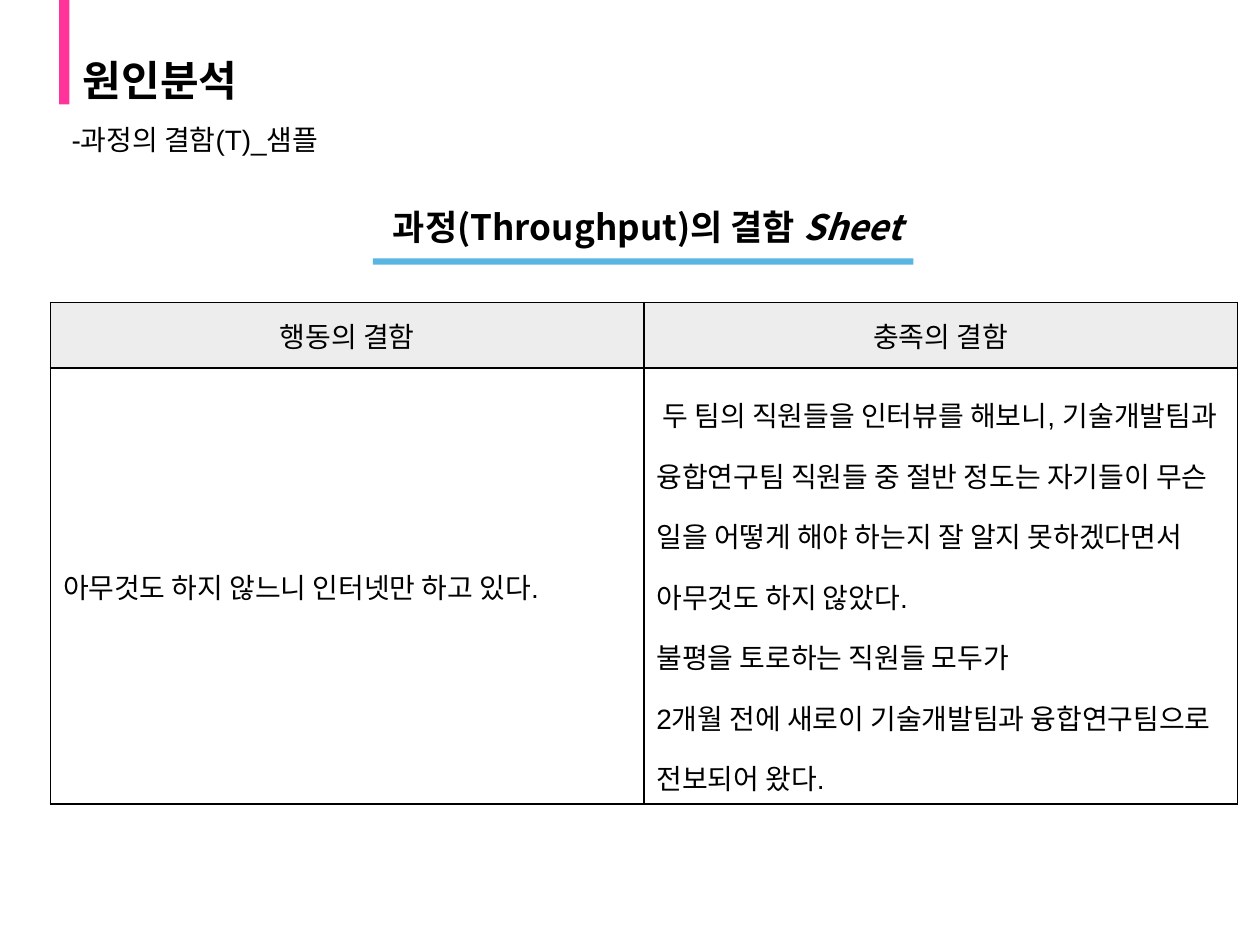
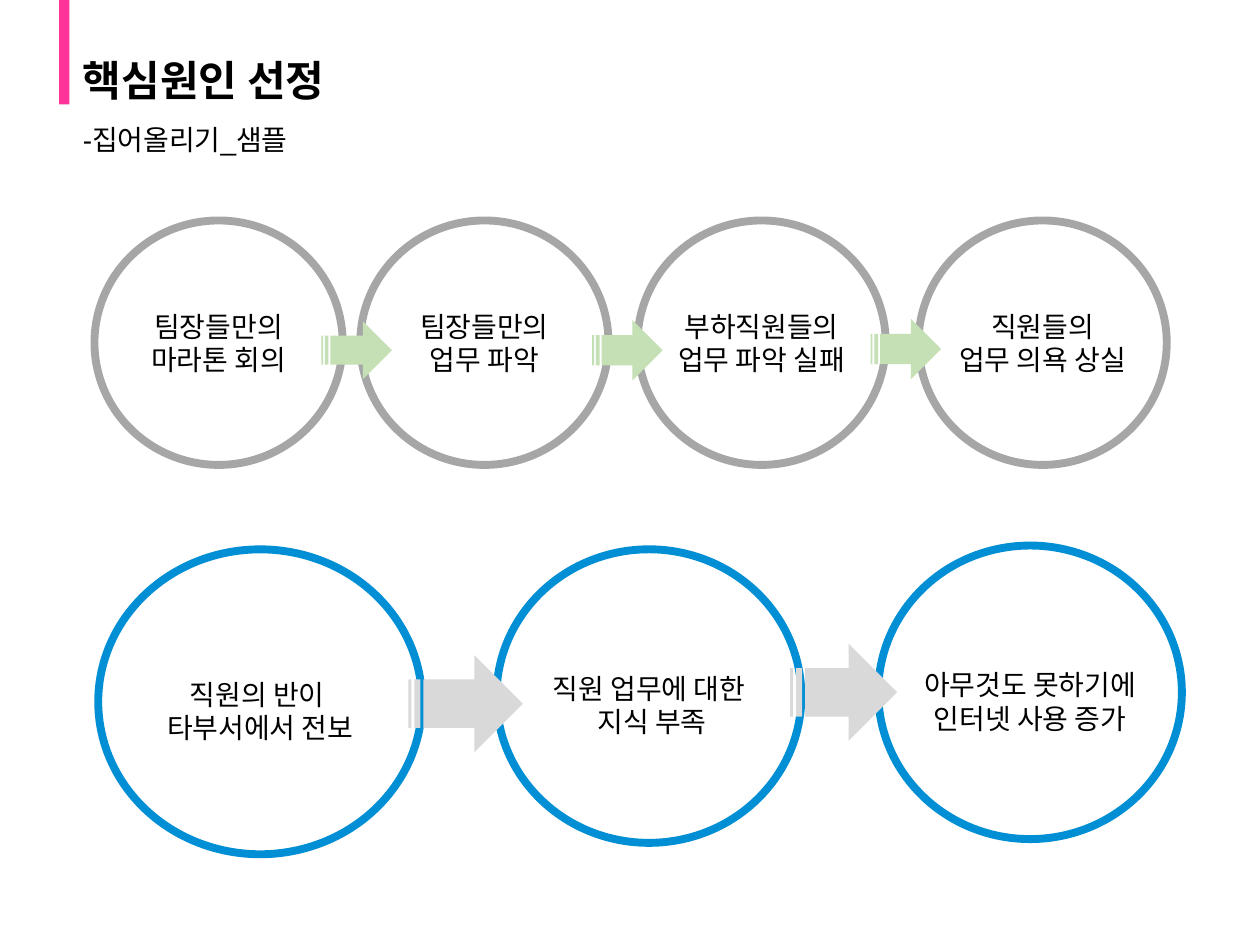
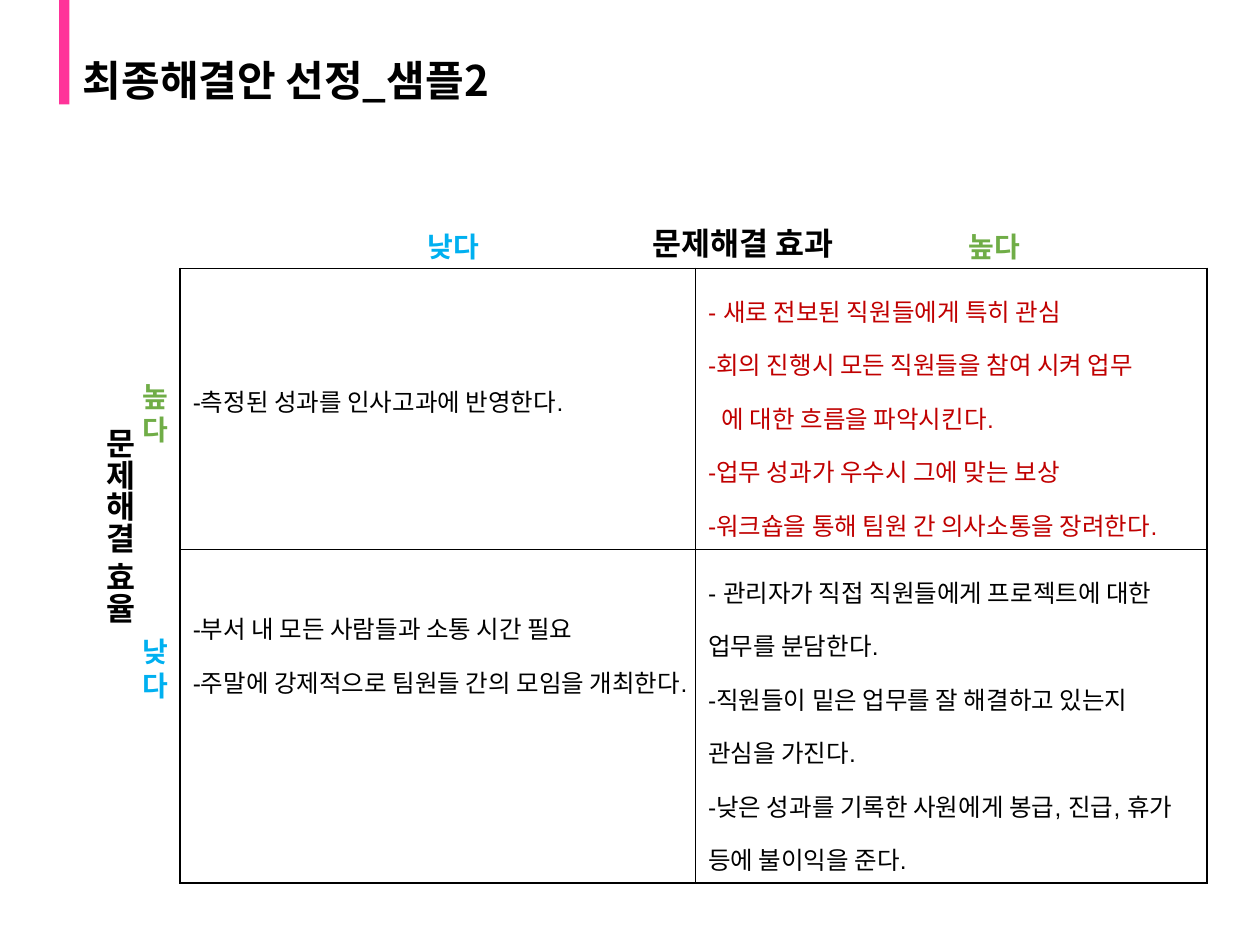
import pptx
import pptx.util
import pptx.dml.color
import pptx.enum.shapes
import pptx.enum.text
import pptx.oxml.ns
import lxml.etree

TINT = {
    "pink": "FF3399", "black": "000000", "white": "FFFFFF", "pale": "EDEDED",
    "sky": "59B6E3", "gray": "A6A6A6", "blue": "008FD4", "leaf": "C5E0B4",
    "ash": "D9D9D9", "red": "C00000", "green": "70AD47", "cyan": "00B0F0",
}
KIND = pptx.enum.shapes.MSO_SHAPE
ALIGN = pptx.enum.text.PP_ALIGN
MID = pptx.enum.text.MSO_ANCHOR.MIDDLE
PT = pptx.util.Pt
CJK = "Noto Sans CJK KR"

deck = pptx.Presentation()
deck.slide_width = pptx.util.Inches(10)
deck.slide_height = pptx.util.Inches(7.5)
UNIT = deck.slide_width // 100

HEAD = {"size": PT(24), "name": CJK, "bold": True}
NAME = {"size": PT(20), "name": CJK, "bold": True}
AXIS = {"size": PT(18), "name": CJK, "bold": True}
MARK = {"size": PT(16), "name": CJK, "bold": True}
BODY = {"size": PT(16), "name": "Arial"}
NOTE = {"size": PT(14), "name": "Arial"}
MIDDLE = {"alignment": ALIGN.CENTER}
TIGHT = {"line_spacing": 0.9}
LOOSE = {"line_spacing": 1.5}


def add(slide, kind, at, fill=None, line=None):
    at = [round(n * UNIT) for n in at]
    if kind is None:
        box = slide.shapes.add_textbox(*at)
        box.text_frame.word_wrap = True
        return box
    box = slide.shapes.add_shape(kind, *at)
    box.shadow.inherit = False
    box.fill.solid()
    box.fill.fore_color.rgb = pptx.dml.color.RGBColor.from_string(TINT[fill])
    if line:
        box.line.width = PT(4.5)
        box.line.color.rgb = pptx.dml.color.RGBColor.from_string(TINT[line])
    else:
        box.line.fill.background()
    return box


def write(frame, lines, look, plan, tint="black"):
    for i, text in enumerate(lines):
        para = frame.add_paragraph() if i else frame.paragraphs[0]
        for key, value in plan.items():
            setattr(para, key, value)
        for j, part in enumerate(text.split("|")):
            run = para.add_run()
            run.text = part
            for key, value in look.items():
                setattr(run.font, key, value)
            if j:
                run.font.italic = True
            run.font.color.rgb = pptx.dml.color.RGBColor.from_string(TINT[tint])
            east = lxml.etree.SubElement(run.font._element, pptx.oxml.ns.qn("a:ea"))
            east.set("typeface", CJK)


pages = []
for title, sub, left in [
    ("원인분석", "-과정의 결함(T)_샘플", 4.7),
    ("핵심원인 선정", "-집어올리기_샘플", 5.6),
    ("최종해결안 선정_샘플2", None, None),
]:
    page = deck.slides.add_slide(deck.slide_layouts[6])
    pages.append(page)
    add(page, KIND.RECTANGLE, (4.7, 0, 0.8, 8.3), "pink")
    box = add(page, None, (5.6, 4.2, 71.7, 4.7))
    box.text_frame.vertical_anchor = MID
    write(box.text_frame, [title], HEAD, TIGHT)
    if sub:
        box = add(page, None, (left, 9.5, 88.5, 4.7))
        write(box.text_frame, [sub], BODY, TIGHT | {"alignment": ALIGN.JUSTIFY})
cause, core, final = pages

tables = [
    (cause, (4, 24), (47.1, 47.1), (5.2, 34.6), BODY, [
        (["행동의 결함"], MIDDLE, "black", "pale", None),
        (["충족의 결함"], MIDDLE, "black", "pale", None),
        (["아무것도 하지 않느니 인터넷만 하고 있다."], {}, "black", None, None),
        ([" 두 팀의 직원들을 인터뷰를 해보니, 기술개발팀과 융합연구팀 직원들 중 절반 정도는 자기들이 무슨 일을 어떻게 해야 하는지 잘 알지 못하겠다면서 아무것도 하지 않았다.",
          "불평을 토로하는 직원들 모두가",
          "2개월 전에 새로이 기술개발팀과 융합연구팀으로 전보되어 왔다."],
         LOOSE, "black", None, None),
    ]),
    (final, (14.3, 21.3), (40.9, 40.6), (22.3, 26.5), NOTE, [
        (["-측정된 성과를 인사고과에 반영한다."], LOOSE, "black", None, 7.7),
        (["- 새로 전보된 직원들에게 특히 관심",
          "-회의 진행시 모든 직원들을 참여 시켜 업무",
          "에 대한 흐름을 파악시킨다.",
          "-업무 성과가 우수시 그에 맞는 보상",
          "-워크숍을 통해 팀원 간 의사소통을 장려한다."], LOOSE, "red", None, 0.5),
        (["-부서 내 모든 사람들과 소통 시간 필요",
          "-주말에 강제적으로 팀원들 간의 모임을 개최한다."], LOOSE, "black", None, 3.4),
        (["- 관리자가 직접 직원들에게 프로젝트에 대한 업무를 분담한다.",
          "-직원들이 밑은 업무를 잘 해결하고 있는지 관심을 가진다.",
          "-낮은 성과를 기록한 사원에게 봉급, 진급, 휴가 등에 불이익을 준다."],
         LOOSE, "black", None, 0.5),
    ]),
]
for page, spot, cols, rows, look, cells in tables:
    at = [round(n * UNIT) for n in (*spot, sum(cols), sum(rows))]
    grid = page.shapes.add_table(len(rows), len(cols), *at).table
    grid.first_row = grid.horz_banding = False
    for i, wide in enumerate(cols):
        grid.columns[i].width = round(wide * UNIT)
    for i, high in enumerate(rows):
        grid.rows[i].height = round(high * UNIT)
    for cell, (lines, plan, tint, fill, top) in zip(grid.iter_cells(), cells):
        write(cell.text_frame, lines, look, plan, tint)
        if top is None:
            cell.vertical_anchor = MID
        else:
            cell.margin_top = round(top * UNIT)
        if fill:
            cell.fill.solid()
            cell.fill.fore_color.rgb = pptx.dml.color.RGBColor.from_string(TINT[fill])
        else:
            cell.fill.background()
        for i, side in enumerate(("lnL", "lnR", "lnT", "lnB")):
            edge = lxml.etree.Element(pptx.oxml.ns.qn("a:" + side), w=str(PT(1)))
            ink = lxml.etree.SubElement(edge, pptx.oxml.ns.qn("a:solidFill"))
            lxml.etree.SubElement(ink, pptx.oxml.ns.qn("a:srgbClr"), val=TINT["black"])
            cell._tc.get_or_add_tcPr().insert(i, edge)
        for para in cell.text_frame.paragraphs:
            if para.text.startswith("에 대한"):
                para._p.get_or_add_pPr().set("marL", str(round(1.1 * UNIT)))

box = add(cause, None, (25.1, 15.8, 52, 4.4))
write(box.text_frame, [" 과정(Throughput)의 결함 |Sheet"], NAME, MIDDLE)
add(cause, KIND.RECTANGLE, (29.6, 20.5, 42.9, 0.5), "sky")

rings = [
    (7.5, 17.5, 19.7, 19.4, "gray", 14, 0, ["팀장들만의", "마라톤 회의"]),
    (28.6, 17.5, 19.7, 19.4, "gray", 13.2, 0, ["팀장들만의", "업무 파악"]),
    (50.6, 17.5, 19.7, 19.4, "gray", 17, 0, ["부하직원들의", "업무 파악 실패"]),
    (72.9, 17.5, 19.7, 19.4, "gray", 17, 0, ["직원들의", "업무 의욕 상실"]),
    (7.8, 43.6, 25.7, 24.2, "blue", 18.5, 0.7, ["직원의 반이 ", "타부서에서 전보"]),
    (39.4, 43.6, 24.2, 23.3, "blue", 19.2, 0.7, ["직원 업무에 대한", " 지식 부족"]),
    (69.7, 43.3, 24.1, 23.3, "blue", 20.7, 0.7, ["아무것도 못하기에", "인터넷 사용 증가"]),
]
high = 6.4
for x, y, w, h, line, wide, drop, lines in rings:
    add(core, KIND.OVAL, (x, y, w, h), "white", line)
    box = add(core, None, (x + (w - wide) / 2, y + (h - high) / 2 + drop, wide, high))
    box.text_frame.word_wrap = False
    box.text_frame.vertical_anchor = MID
    write(box.text_frame, lines, BODY, MIDDLE)

for *at, fill in [
    (25.5, 25.5, 5.6, 4.6, "leaf"),
    (47, 25.4, 5.6, 4.8, "leaf"),
    (69.1, 25.3, 5.6, 4.8, "leaf"),
    (32.4, 52, 9.1, 7.7, "ash"),
    (62.7, 51.1, 8.5, 7.7, "ash"),
]:
    add(core, KIND.STRIPED_RIGHT_ARROW, at, fill)

for text, at, look, tint, plan, turn in [
    ("문제해결 효과", (49.5, 17.3, 18.9, 4), AXIS, "black", MIDDLE, "horz"),
    ("높다", (10.3, 29.6, 4.7, 6.4), MARK, "green", {}, "horz"),
    ("낮다", (10.3, 49.9, 4.7, 6.4), MARK, "cyan", {}, "horz"),
    ("낮다", (31.3, 17.7, 9.4, 3.7), MARK, "cyan", MIDDLE, "horz"),
    ("높다", (74.2, 17.7, 9.4, 3.7), MARK, "green", MIDDLE, "horz"),
    ("문제해결 효율", (6.5, 33, 5, 19.8), AXIS, "black", MIDDLE, "eaVert"),
]:
    box = add(final, None, at)
    box.text_frame._txBody.bodyPr.set("vert", turn)
    write(box.text_frame, [text], look, plan, tint)

deck.save("out.pptx")
